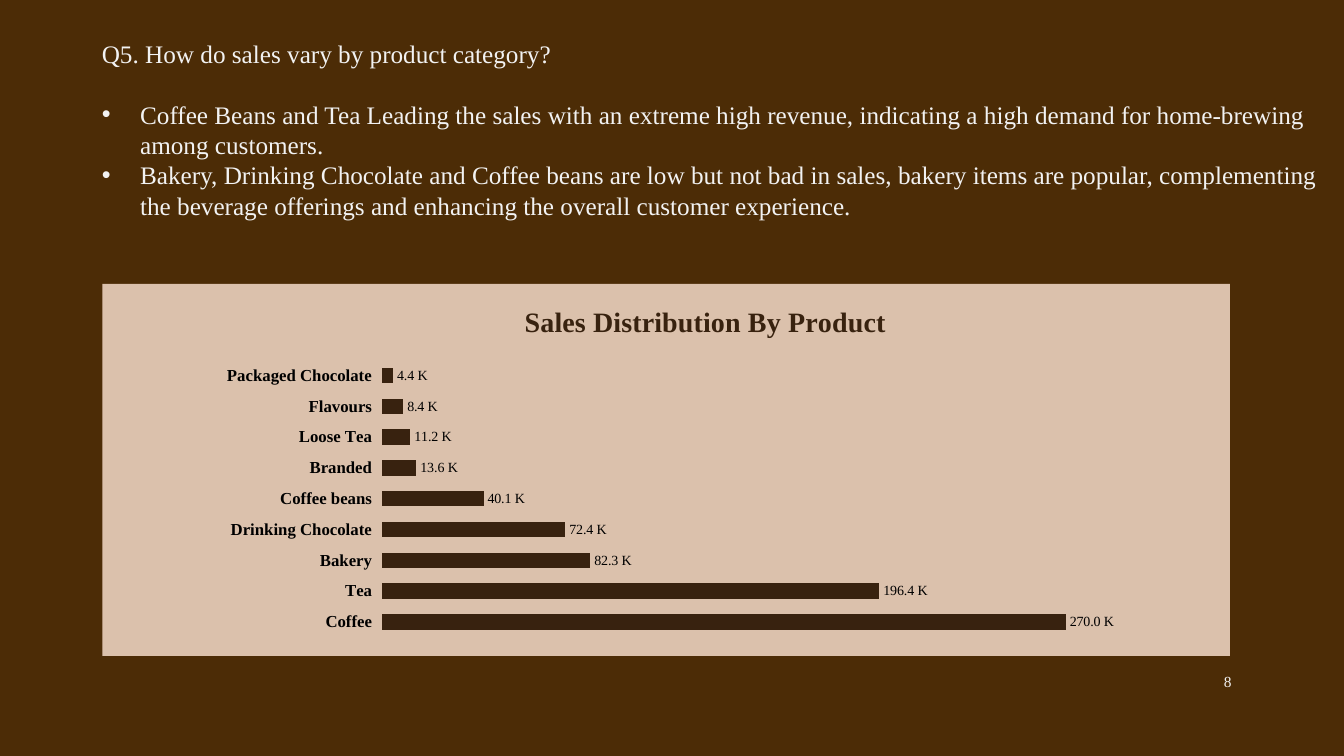
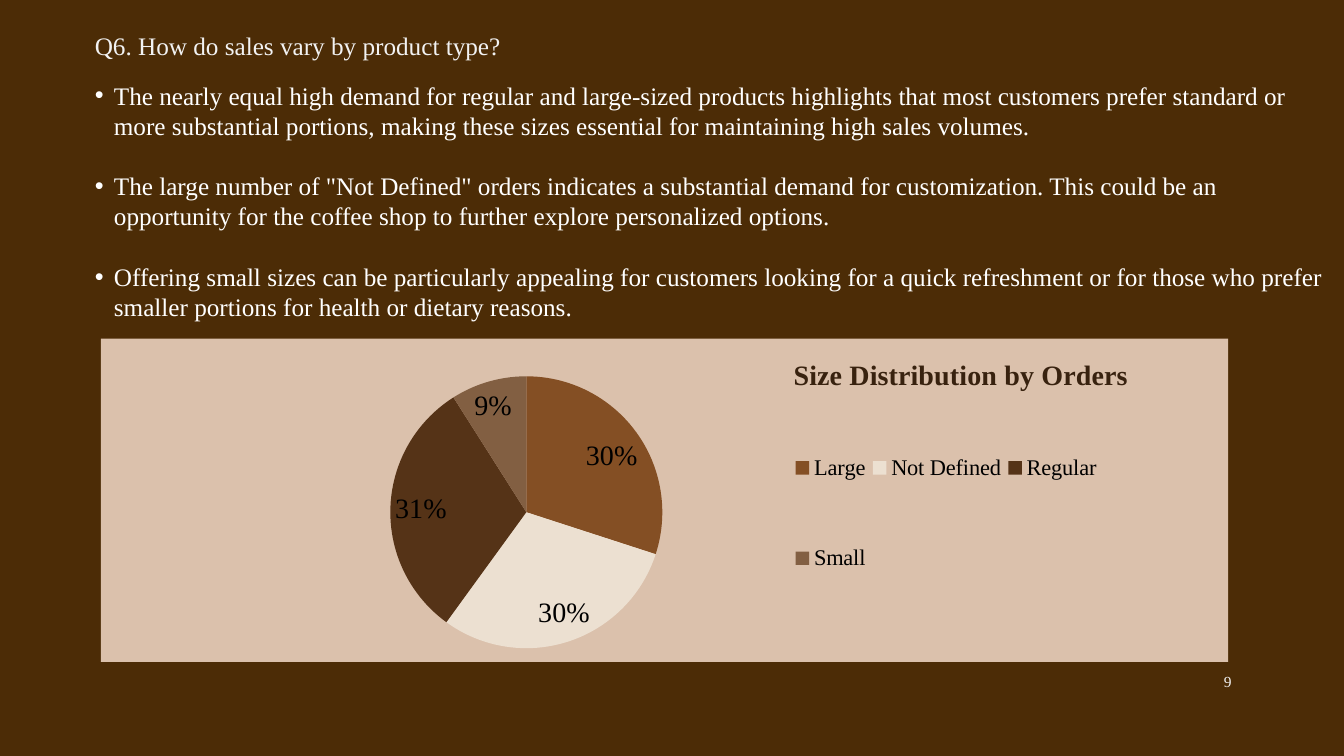
"""Build two coffee sales slides, each with a question, findings and a chart."""
from lxml import etree
from pptx import Presentation
from pptx.chart.data import CategoryChartData
from pptx.dml.color import RGBColor
from pptx.enum.chart import XL_CHART_TYPE, XL_LABEL_POSITION, XL_LEGEND_POSITION
from pptx.enum.text import MSO_ANCHOR, MSO_AUTO_SIZE, PP_ALIGN
from pptx.oxml.ns import qn
from pptx.util import Inches, Pt

BAR, PIE = XL_CHART_TYPE.BAR_CLUSTERED, XL_CHART_TYPE.PIE
OUT, BEST = XL_LABEL_POSITION.OUTSIDE_END, XL_LABEL_POSITION.BEST_FIT
SIDE = XL_LEGEND_POSITION.RIGHT
TOP, MID = MSO_ANCHOR.TOP, MSO_ANCHOR.MIDDLE
LEFT, RIGHT = PP_ALIGN.LEFT, PP_ALIGN.RIGHT
FIXED = MSO_AUTO_SIZE.NONE
FACE = "Times New Roman"
HEX = {
    "back": "4C2C06", "panel": "DBC1AC", "dark": "38220F", "pale": "F2F2F2",
    "white": "FFFFFF", "black": "000000", "large": "844F24",
    "open": "ECE0D1", "plain": "553317", "small": "825F42",
}
INK = {name: RGBColor.from_string(code) for name, code in HEX.items()}

deck = Presentation()
deck.slide_width, deck.slide_height = Inches(13.33), Inches(7.5)
COL, ROW = deck.slide_width / 160, deck.slide_height / 90
fill = deck.slide_master.background.fill
fill.solid()
fill.fore_color.rgb = INK["back"]


def write(frame, *lines, size=18, ink="pale", bold=False, align=LEFT,
          pitch=None, gap=0, hang=None):
    """Fill a text frame, one paragraph for each line."""
    for i, line in enumerate(lines):
        para = frame.add_paragraph() if i else frame.paragraphs[0]
        para.alignment = align
        para.space_before = Pt(gap if i else 0)
        if pitch:
            para.line_spacing = Pt(pitch)
        if hang:
            props = para._p.get_or_add_pPr()
            props.set("marL", str(Inches(hang)))
            props.set("indent", str(-Inches(hang)))
        run = para.add_run()
        run.text = line
        font = run.font
        font.name, font.size, font.bold = FACE, Pt(size), bold
        font.color.rgb = INK[ink]


def arrange(node, index, **share):
    """Place a chart part by shares of the chart's size."""
    for old in node.findall(qn("c:layout")):
        node.remove(old)
    outer = etree.Element(qn("c:layout"))
    inner = etree.SubElement(outer, qn("c:manualLayout"))
    if node.tag == qn("c:plotArea"):
        etree.SubElement(inner, qn("c:layoutTarget")).set("val", "inner")
    for key in "xy":
        etree.SubElement(inner, qn(f"c:{key}Mode")).set("val", "edge")
    for key, value in share.items():
        etree.SubElement(inner, qn(f"c:{key}")).set("val", str(value))
    node.insert(index, outer)


PAGES = [
    {
        "ask": "Q5. How do sales vary by product category?",
        "facts": [
            "Coffee Beans and Tea Leading the sales with an extreme high revenue, indicating a high demand for home-brewing among customers.",
            "Bakery, Drinking Chocolate and Coffee beans are low but not bad in sales, bakery items are popular, complementing the beverage offerings and enhancing the overall customer experience.",
        ],
        "style": {"ink": "pale", "hang": 0.38},
        "head": (10.92, 4, 149.1, 5), "list": (10.92, 11.2, 149.1, 16),
        "area": (12.2, 33.8, 134.2, 44.3),
        "kind": BAR, "title": "Sales Distribution By Product",
        "spot": {"x": 0.37, "y": 0.04},
        "plot": {"x": 0.248, "y": 0.205, "w": 0.674, "h": 0.745},
        "data": {
            "Coffee": 270000, "Tea": 196400, "Bakery": 82300,
            "Drinking Chocolate": 72400, "Coffee beans": 40100,
            "Branded": 13600, "Loose Tea": 11200, "Flavours": 8400,
            "Packaged Chocolate": 4400,
        },
    },
    {
        "ask": "Q6. How do sales vary by product type?",
        "facts": [
            "The nearly equal high demand for regular and large-sized products highlights that most customers prefer standard or more substantial portions, making these sizes essential for maintaining high sales volumes.",
            "The large number of \"Not Defined\" orders indicates a substantial demand for customization. This could be an opportunity for the coffee shop to further explore personalized options.",
            "Offering small sizes can be particularly appealing for customers looking for a quick refreshment or for those who prefer smaller portions for health or dietary reasons.",
        ],
        "style": {"ink": "white", "hang": 0.19, "gap": 21.6},
        "head": (10.08, 3, 149, 5), "list": (10.08, 8.9, 149, 30),
        "area": (12, 40.3, 134.2, 38.5),
        "kind": PIE, "title": "Size Distribution by Orders",
        "spot": {"x": 0.61, "y": 0.04},
        "plot": {"x": 0.079, "y": 0.117, "w": 0.597, "h": 0.841},
        "data": {"Large": 30, "Not Defined": 30, "Regular": 31, "Small": 9},
    },
]

for number, page in enumerate(PAGES, 8):
    slide = deck.slides.add_slide(deck.slide_layouts[1])
    areas = {}
    for key in ("head", "list", "area"):
        x, y, w, h = page[key]
        areas[key] = [int(v) for v in (x * COL, y * ROW, w * COL, h * ROW)]

    head, body = slide.shapes.title, slide.placeholders[1]
    for shape, key in ((head, "head"), (body, "list")):
        shape.left, shape.top, shape.width, shape.height = areas[key]
        frame = shape.text_frame
        frame.word_wrap, frame.auto_size = True, FIXED
        frame.vertical_anchor = TOP
    write(head.text_frame, page["ask"], pitch=21.6)
    write(body.text_frame, *page["facts"], pitch=21.6, **page["style"])

    data = CategoryChartData()
    data.categories = list(page["data"])
    data.add_series("Series 1", list(page["data"].values()))
    chart = slide.shapes.add_chart(page["kind"], *areas["area"], data).chart
    chart.font.name, chart.font.size = FACE, Pt(10)
    chart.font.color.rgb = INK["white"]
    root = chart._chartSpace
    props = etree.Element(qn("c:spPr"))
    paint = etree.SubElement(props, qn("a:solidFill"))
    etree.SubElement(paint, qn("a:srgbClr")).set("val", HEX["panel"])
    edge = etree.SubElement(props, qn("a:ln"))
    etree.SubElement(edge, qn("a:noFill"))
    root.find(qn("c:txPr")).addprevious(props)

    chart.has_title = True
    title = chart.chart_title
    title.include_in_layout = False
    write(title.text_frame, page["title"], size=20, ink="dark", bold=True)
    arrange(title._element, 1, **page["spot"])
    arrange(root.find(".//" + qn("c:plotArea")), 0, **page["plot"])

    plot = chart.plots[0]
    plot.has_data_labels = True
    labels = plot.data_labels
    labels.font.name = FACE
    labels.font.color.rgb = INK["black"]
    series = plot.series[0]
    if page["kind"] == BAR:
        chart.has_legend = False
        plot.gap_width, plot.vary_by_categories = 100, False
        series.format.fill.solid()
        series.format.fill.fore_color.rgb = INK["dark"]
        labels.show_value, labels.position = True, OUT
        labels.number_format = '##,##0.0,\\ "K"'
        labels.number_format_is_linked = False
        labels.font.size = Pt(10)
        names, scale = chart.category_axis, chart.value_axis
        names.format.line.fill.background()
        font = names.tick_labels.font
        font.name, font.size, font.bold = FACE, Pt(12), True
        font.color.rgb = INK["black"]
        scale.visible = scale.has_major_gridlines = False
        scale.minimum_scale, scale.maximum_scale = 0, 300000
    else:
        plot.vary_by_categories = True
        for i, name in enumerate(("large", "open", "plain", "small")):
            fill = series.points[i].format.fill
            fill.solid()
            fill.fore_color.rgb = INK[name]
        labels.show_value, labels.show_percentage = False, True
        labels.number_format, labels.number_format_is_linked = "0%", False
        labels.position, labels.font.size = BEST, Pt(20)
        chart.has_legend = True
        legend = chart.legend
        legend.position, legend.include_in_layout = SIDE, False
        legend.font.name, legend.font.size = FACE, Pt(16)
        legend.font.color.rgb = INK["black"]
        arrange(legend._element, 1, x=0.61, y=0.16, w=0.28, h=0.76)

    spot = [int(v) for v in (138 * COL, 78.7 * ROW, 9.8 * COL, 4.8 * ROW)]
    frame = slide.shapes.add_textbox(*spot).text_frame
    frame.word_wrap, frame.vertical_anchor = True, MID
    write(frame, str(number), size=11, align=RIGHT)

deck.save("out.pptx")
